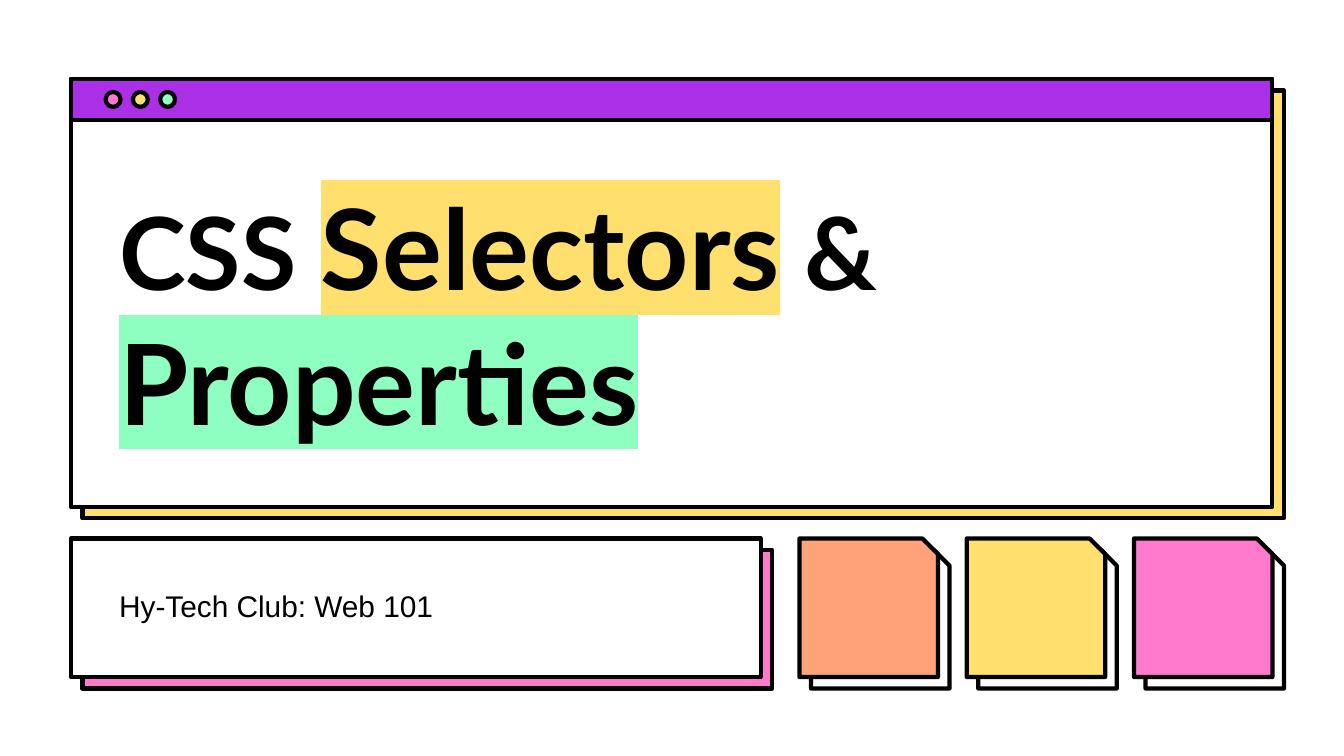
"""Build the title slide of a CSS lesson, styled as a browser window."""
from lxml import etree
from pptx import Presentation
from pptx.dml.color import RGBColor
from pptx.enum.shapes import MSO_SHAPE
from pptx.enum.text import MSO_ANCHOR
from pptx.oxml.ns import qn
from pptx.util import Pt

RECTANGLE = MSO_SHAPE.RECTANGLE
OVAL = MSO_SHAPE.OVAL
SNIPPED = MSO_SHAPE.SNIP_1_RECTANGLE
TOP, BOTTOM = MSO_ANCHOR.TOP, MSO_ANCHOR.BOTTOM

BLACK, WHITE = "000000", "FFFFFF"
PURPLE, YELLOW, PINK = "AA2FE6", "FFDF6D", "FF7ACD"
GREEN, ORANGE = "8FFFC1", "FFA27A"

TITLE = [("CSS ", 54, None), ("Selectors", 60, YELLOW), (" & ", 54, None), ("Properties", 60, GREEN)]
SUBTITLE = [("Hy-Tech Club: Web 101", 16, None)]
DOTS = [PINK, YELLOW, GREEN]
TILES = [ORANGE, YELLOW, PINK]

LEFT, WIDTH = 38, 643.7
WINDOW_TOP, WINDOW_HEIGHT, BAR_HEIGHT = 42.3, 229.2, 22
ROW_TOP, ROW_HEIGHT, CARD_WIDTH = 288.5, 74.2, 369.5
OFFSET = 6.2
DOT_LEFT, DOT_SIZE, DOT_PITCH = 56.6, 8, 14.6
TILE_PITCH = 89.6
SNIP = 0.113
INSET = 7.2


def color(value):
    return RGBColor.from_string(value)


def add_block(page, kind, left, top, width, height, fill):
    shape = page.shapes.add_shape(kind, Pt(left), Pt(top), Pt(width), Pt(height))
    shape.shadow.inherit = False
    shape.fill.solid()
    shape.fill.fore_color.rgb = color(fill)
    shape.line.color.rgb = color(BLACK)
    shape.line.width = Pt(2.25)
    if kind == SNIPPED:
        shape.adjustments[0] = SNIP


def add_stacked(page, kind, left, top, width, height, front, back):
    for shift, fill in ((OFFSET, back), (0, front)):
        add_block(page, kind, left + shift, top + shift, width, height, fill)


def highlight(span, value):
    mark = etree.Element(qn("a:highlight"))
    etree.SubElement(mark, qn("a:srgbClr"), val=value)
    span.font._element.find(qn("a:solidFill")).addnext(mark)


def add_text(page, left, top, width, height, spans, font, bold, anchor):
    box = page.shapes.add_textbox(Pt(left), Pt(top), Pt(width), Pt(height))
    frame = box.text_frame
    frame.word_wrap = True
    frame.vertical_anchor = anchor
    frame.margin_left = frame.margin_right = Pt(INSET)
    frame.margin_top = frame.margin_bottom = Pt(INSET)
    for text, size, mark in spans:
        span = frame.paragraphs[0].add_run()
        span.text = text
        span.font.name = font
        span.font.size = Pt(size)
        span.font.bold = bold
        span.font.color.rgb = color(BLACK)
        if mark:
            highlight(span, mark)


def main():
    deck = Presentation()
    deck.slide_width, deck.slide_height = Pt(720), Pt(405)
    page = deck.slides.add_slide(deck.slide_layouts[6])

    add_stacked(page, RECTANGLE, LEFT, WINDOW_TOP, WIDTH, WINDOW_HEIGHT, WHITE, YELLOW)
    add_stacked(page, RECTANGLE, LEFT, ROW_TOP, CARD_WIDTH, ROW_HEIGHT, WHITE, PINK)
    add_block(page, RECTANGLE, LEFT, WINDOW_TOP, WIDTH, BAR_HEIGHT, PURPLE)

    dot_top = WINDOW_TOP + (BAR_HEIGHT - DOT_SIZE) / 2
    for index, fill in enumerate(DOTS):
        add_block(page, OVAL, DOT_LEFT + index * DOT_PITCH, dot_top, DOT_SIZE, DOT_SIZE, fill)

    first_tile = LEFT + WIDTH - ROW_HEIGHT - (len(TILES) - 1) * TILE_PITCH
    for index, fill in enumerate(TILES):
        left = first_tile + index * TILE_PITCH
        add_stacked(page, SNIPPED, left, ROW_TOP, ROW_HEIGHT, ROW_HEIGHT, fill, WHITE)

    add_text(page, 56.8, 89.3, 607, 157.7, TITLE, "Lato", True, BOTTOM)
    add_text(page, 56.8, 307.4, 327, 35.3, SUBTITLE, "Arial", False, TOP)
    deck.save("out.pptx")


if __name__ == "__main__":
    main()
